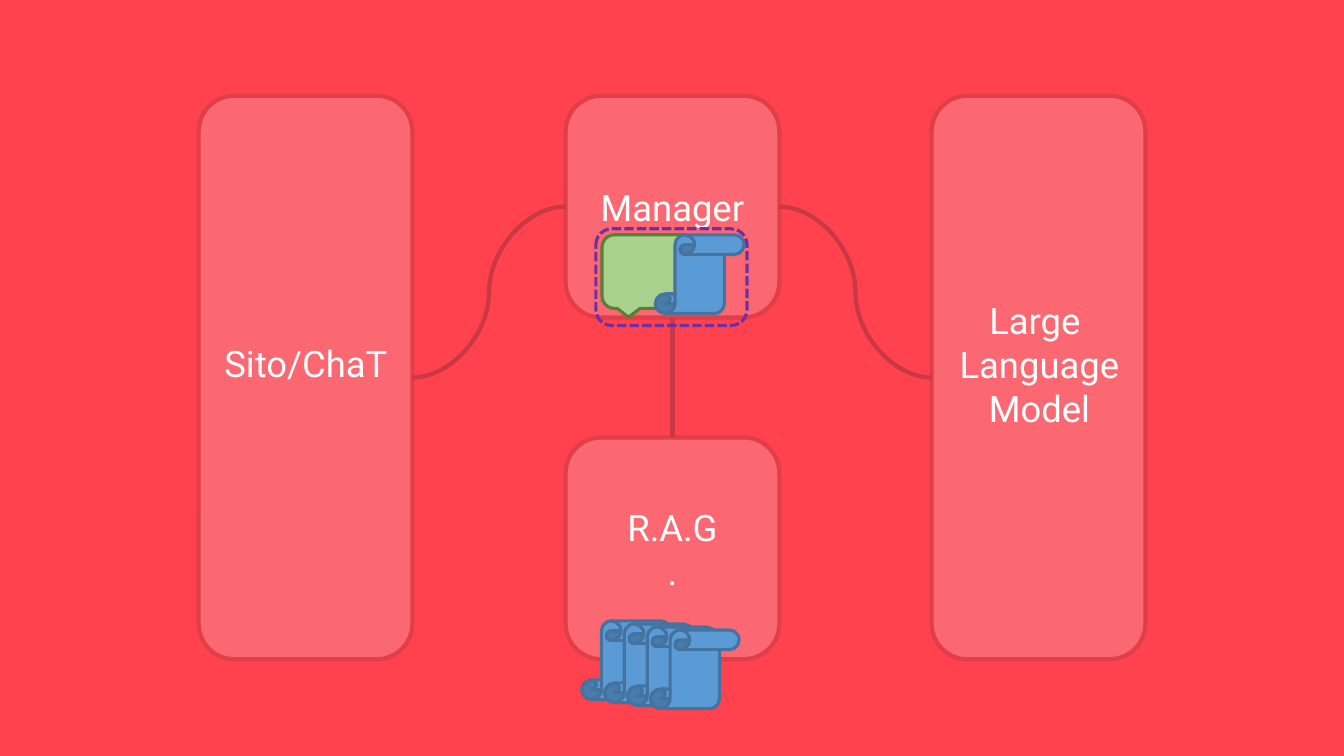
from lxml.etree import SubElement
from pptx import Presentation
from pptx.dml.color import RGBColor
from pptx.enum.dml import MSO_LINE
from pptx.enum.shapes import MSO_CONNECTOR, MSO_SHAPE
from pptx.enum.text import MSO_ANCHOR, MSO_AUTO_SIZE, PP_ALIGN
from pptx.oxml.ns import qn
from pptx.util import Inches, Pt

THEME = {
    "font": "Roboto",
    "label_size": Pt(26),
    "heavy_line": Pt(3),
    "icon_line": Pt(2.25),
    "background": RGBColor.from_string("FF424D"),
    "label": RGBColor.from_string("FFFFFF"),
    "block": RGBColor.from_string("FC6872"),
    "block_edge": RGBColor.from_string("E03E49"),
    "link": RGBColor.from_string("C93844"),
    "scroll": RGBColor.from_string("5B9BD5"),
    "scroll_edge": RGBColor.from_string("43739E"),
    "message": RGBColor.from_string("A9D18E"),
    "message_edge": RGBColor.from_string("548235"),
    "prompt_edge": RGBColor.from_string("7030A0"),
}


def add_part(shapes, preset, box, role, weight, adjustments=()):
    part = shapes.add_shape(preset, *map(Inches, box))
    part.shadow.inherit = False
    if role in THEME:
        part.fill.solid()
        part.fill.fore_color.rgb = THEME[role]
    else:
        part.fill.background()
    part.line.color.rgb = THEME[role + "_edge"]
    part.line.width = THEME[weight]
    for index, value in enumerate(adjustments):
        part.adjustments[index] = value
    return part


def add_scroll(shapes, left, top):
    return add_part(shapes, MSO_SHAPE.VERTICAL_SCROLL, (left, top, 0.88, 0.78),
                    "scroll", "icon_line", [0.25])


deck = Presentation()
deck.slide_width = Inches(13.33)
deck.slide_height = Inches(7.5)
slide = deck.slides.add_slide(deck.slide_layouts[6])
slide.background.fill.solid()
slide.background.fill.fore_color.rgb = THEME["background"]

block_boxes = {
    "site": (1.97, 0.95, 2.12, 5.59),
    "model": (9.24, 0.95, 2.12, 5.59),
    "rag": (5.61, 4.34, 2.12, 2.2),
    "manager": (5.61, 0.95, 2.12, 2.2),
}
blocks = {
    name: add_part(slide.shapes, MSO_SHAPE.FLOWCHART_ALTERNATE_PROCESS, box,
                   "block", "heavy_line")
    for name, box in block_boxes.items()
}

labels = [
    (["Sito/ChaT"], (2.09, 3.34, 1.89, 0.53)),
    (["Manager"], (5.8, 1.79, 1.74, 0.53)),
    (["R.A.G."], (6.11, 5.18, 1.12, 0.53)),
    (["Large ", "Language ", "Model"], (9.39, 2.91, 1.84, 1.4)),
]
for lines, box in labels:
    frame = slide.shapes.add_textbox(*map(Inches, box)).text_frame
    frame.word_wrap = True
    frame.auto_size = MSO_AUTO_SIZE.NONE
    frame.vertical_anchor = MSO_ANCHOR.MIDDLE
    for index, line in enumerate(lines):
        paragraph = frame.add_paragraph() if index else frame.paragraphs[0]
        paragraph.alignment = PP_ALIGN.CENTER
        run = paragraph.add_run()
        run.text = line
        run.font.name = THEME["font"]
        run.font.size = THEME["label_size"]
        run.font.color.rgb = THEME["label"]

TOP, LEFT, BOTTOM, RIGHT = range(4)
links = [
    (MSO_CONNECTOR.CURVE, "site", RIGHT, "manager", LEFT),
    (MSO_CONNECTOR.STRAIGHT, "manager", BOTTOM, "rag", TOP),
    (MSO_CONNECTOR.CURVE, "manager", RIGHT, "model", LEFT),
]
for route, source, exit_side, target, entry_side in links:
    link = slide.shapes.add_connector(route, 0, 0, 0, 0)
    link.begin_connect(blocks[source], exit_side)
    link.end_connect(blocks[target], entry_side)
    link.line.color.rgb = THEME["link"]
    link.line.width = THEME["heavy_line"]
    SubElement(link._element.spPr, qn("a:effectLst"))

for step in range(4):
    add_scroll(slide.shapes, 5.77 + step * 0.227, 6.16 + step * 0.03)

prompt = slide.shapes.add_group_shape().shapes
add_part(prompt, MSO_SHAPE.ROUNDED_RECTANGULAR_CALLOUT, (5.97, 2.33, 0.91, 0.73),
         "message", "icon_line", [-0.21, 0.62, 0.17])
add_scroll(prompt, 6.5, 2.33)
prompt_frame = add_part(prompt, MSO_SHAPE.FLOWCHART_ALTERNATE_PROCESS,
                        (5.91, 2.27, 1.5, 0.96), "prompt", "icon_line")
prompt_frame.line.dash_style = MSO_LINE.SQUARE_DOT

deck.save("out.pptx")
